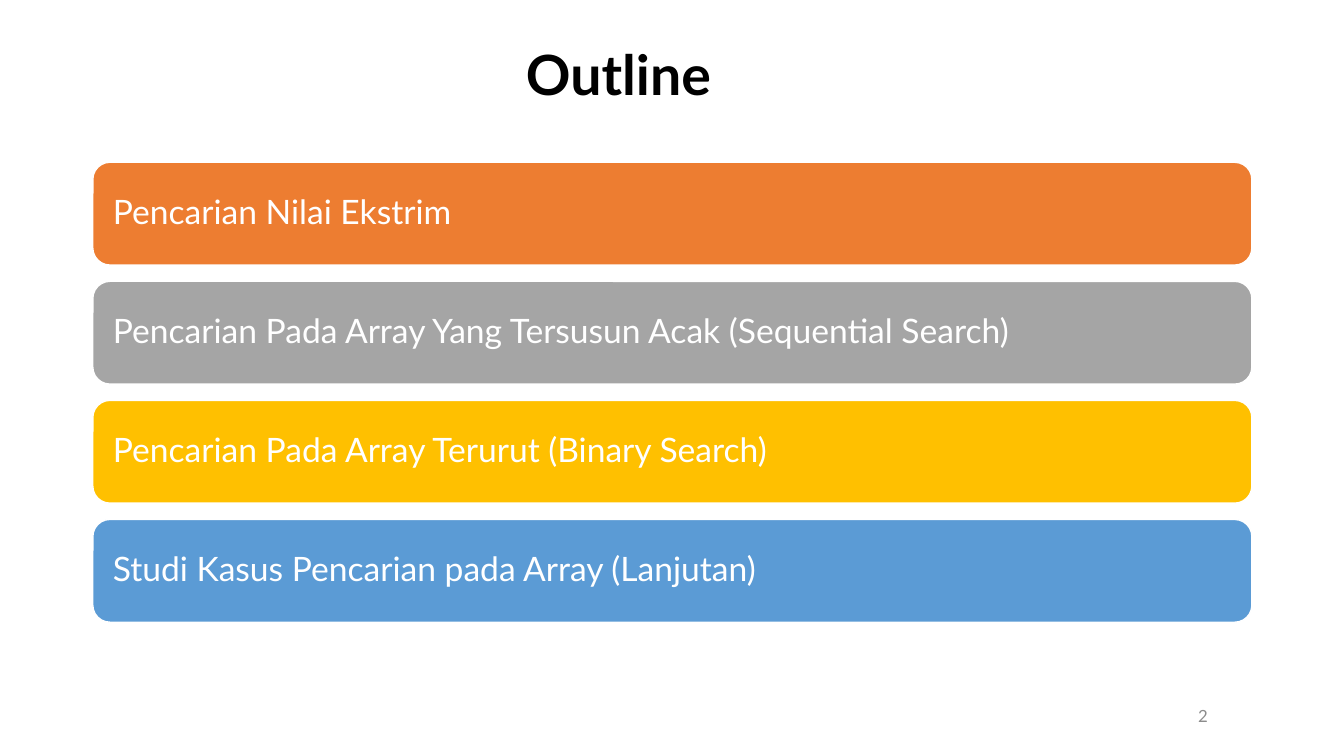
from pptx import Presentation
from pptx.dml.color import RGBColor
from pptx.enum.shapes import MSO_SHAPE
from pptx.enum.text import MSO_ANCHOR, MSO_AUTO_SIZE, PP_ALIGN
from pptx.util import Cm, Pt

ROUNDED = MSO_SHAPE.ROUNDED_RECTANGLE
MIDDLE = MSO_ANCHOR.MIDDLE
NO_AUTOFIT = MSO_AUTO_SIZE.NONE
LEFT, CENTER, RIGHT = PP_ALIGN.LEFT, PP_ALIGN.CENTER, PP_ALIGN.RIGHT

BLACK = RGBColor(0x00, 0x00, 0x00)
WHITE = RGBColor(0xFF, 0xFF, 0xFF)
NUMBER_GREY = RGBColor(0x8C, 0x8C, 0x8C)
ORANGE = RGBColor(0xED, 0x7D, 0x31)
GREY = RGBColor(0xA5, 0xA5, 0xA5)
GOLD = RGBColor(0xFF, 0xC0, 0x00)
BLUE = RGBColor(0x5B, 0x9B, 0xD5)

FONT = "Lato"
TOPICS = [
    ("Pencarian Nilai Ekstrim", ORANGE),
    ("Pencarian Pada Array Yang Tersusun Acak (Sequential Search)", GREY),
    ("Pencarian Pada Array Terurut (Binary Search)", GOLD),
    ("Studi Kasus Pencarian pada Array (Lanjutan)", BLUE),
]
FIRST_BAR_TOP = 4.09
BAR_PITCH = 3.0


def write_text(box, text, size, color, align, bold=False):
    frame = box.text_frame
    frame.text = text
    frame.word_wrap = True
    frame.auto_size = NO_AUTOFIT
    frame.vertical_anchor = MIDDLE
    para = frame.paragraphs[0]
    para.alignment = align
    para.line_spacing = 0.9
    font = para.runs[0].font
    font.name = FONT
    font.size = Pt(size)
    font.bold = bold
    font.color.rgb = color


def place_title(slide, text):
    title = slide.shapes.title
    title.left, title.top = Cm(3), Cm(1.02)
    title.width, title.height = Cm(25.17), Cm(1.88)
    write_text(title, text, 39.6, BLACK, CENTER, bold=True)


def add_topic_bar(slide, top, text, color):
    bar = slide.shapes.add_shape(ROUNDED, Cm(2.34), Cm(top), Cm(29.21), Cm(2.59))
    bar.shadow.inherit = False
    bar.fill.solid()
    bar.fill.fore_color.rgb = color
    bar.line.color.rgb = WHITE
    bar.line.width = Pt(1)
    write_text(bar, text, 24, WHITE, LEFT)
    bar.text_frame.margin_left = bar.text_frame.margin_right = Cm(0.38)


def add_page_number(slide, number):
    box = slide.shapes.add_textbox(Cm(6.99), Cm(17.53), Cm(23.7), Cm(1.02))
    write_text(box, str(number), 12, NUMBER_GREY, RIGHT)
    box.text_frame.paragraphs[0].line_spacing = 1.0


def main():
    deck = Presentation()
    deck.slide_width, deck.slide_height = Cm(33.87), Cm(19.05)
    title_only = deck.slide_layouts[5]
    slide = deck.slides.add_slide(title_only)
    place_title(slide, "Outline")
    for index, (text, color) in enumerate(TOPICS):
        add_topic_bar(slide, FIRST_BAR_TOP + index * BAR_PITCH, text, color)
    add_page_number(slide, 2)
    deck.save("out.pptx")


if __name__ == "__main__":
    main()
